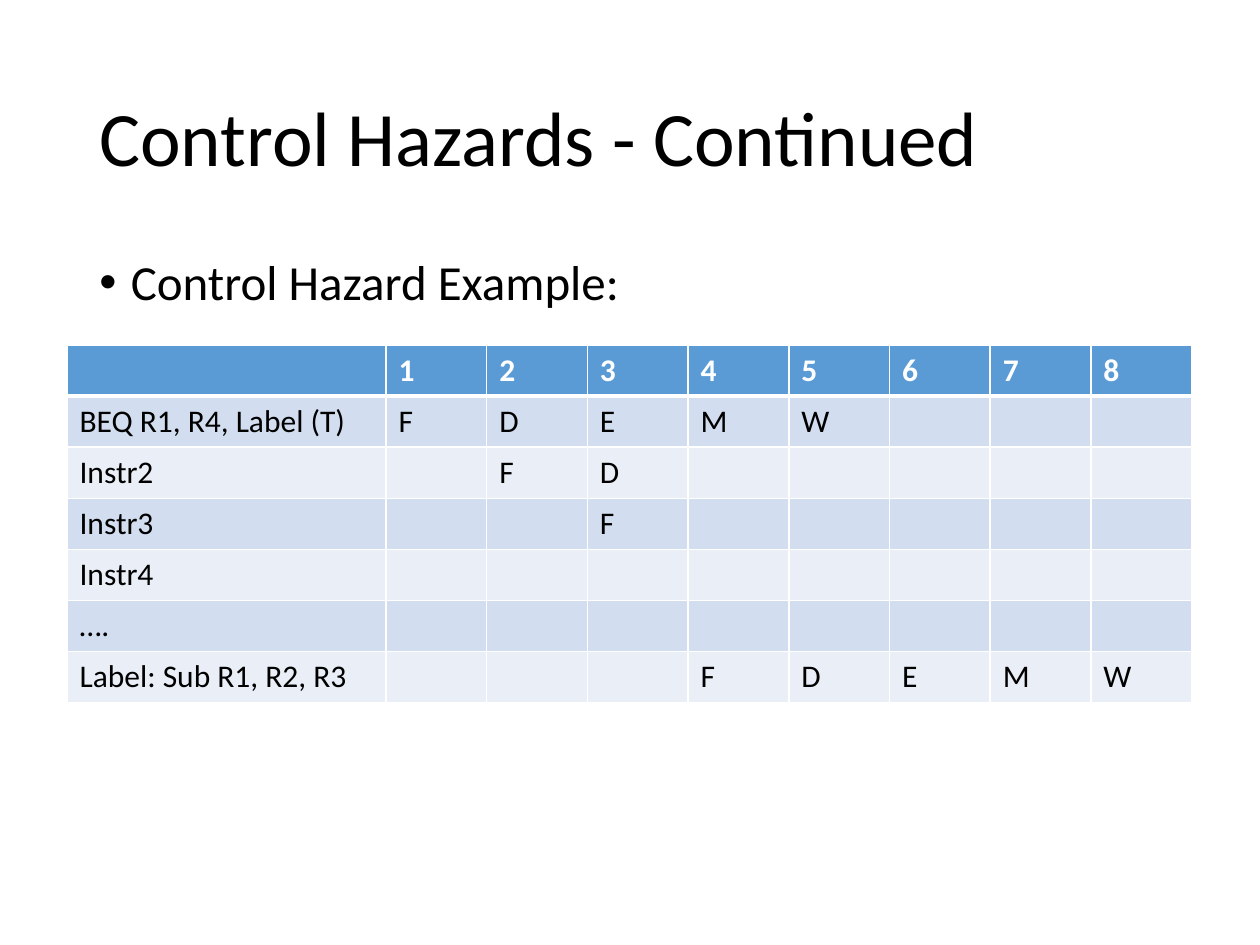
from lxml.etree import SubElement
from pptx import Presentation
from pptx.dml.color import RGBColor
from pptx.enum.text import MSO_ANCHOR as Anchor
from pptx.oxml.ns import qn
from pptx.util import Emu, Pt

PX = 914400 / 126
FONT = "Calibri"
BLACK, WHITE = "000000", "FFFFFF"
HEADER_FILL = "5B9BD5"
BAND_FILLS = ("D2DEEF", "EAEFF7")
CYCLES = 8
INSTRUCTIONS = [
    ("BEQ R1, R4, Label (T)", 1, "FDEMW"),
    ("Instr2", 2, "FD"),
    ("Instr3", 3, "F"),
    ("Instr4", 1, ""),
    ("….", 1, ""),
    ("Label: Sub R1, R2, R3", 4, "FDEMW"),
]


def px(length):
    """Turn pixels into EMU."""
    return Emu(round(length * PX))


def color(hex_code):
    """Turn a hex string into a colour."""
    return RGBColor.from_string(hex_code)


def style(paragraph, size, hex_code=BLACK, bold=False):
    """Format the font of every run in a paragraph."""
    for run in paragraph.runs:
        run.font.name = FONT
        run.font.size = Pt(size)
        run.font.bold = bold
        run.font.color.rgb = color(hex_code)


def add_text(slide, box, text, size, anchor):
    """Add a wrapped text box and return its paragraph."""
    frame = slide.shapes.add_textbox(*map(px, box)).text_frame
    frame.word_wrap = True
    frame.vertical_anchor = anchor
    frame.text = text
    paragraph = frame.paragraphs[0]
    paragraph.line_spacing = 0.9
    style(paragraph, size)
    return paragraph


def add_title(slide, box):
    """Add the slide title."""
    add_text(slide, box, "Control Hazards - Continued", 44, Anchor.MIDDLE)


def add_bullet(slide, box):
    """Add the bulleted line above the table."""
    example = add_text(slide, box, "Control Hazard Example:", 28, Anchor.TOP)
    example.space_before = Pt(10)
    properties = example._p.get_or_add_pPr()
    indent = Pt(18)
    properties.set("marL", str(indent))
    properties.set("indent", str(-indent))
    SubElement(properties, qn("a:buFont"), typeface="Arial")
    SubElement(properties, qn("a:buChar"), char="•")


def add_borders(cell, top, bottom):
    """Draw white borders around a cell."""
    properties = cell._tc.get_or_add_tcPr()
    widths = {"a:lnL": 1, "a:lnR": 1, "a:lnT": top, "a:lnB": bottom}
    for side, width in widths.items():
        line = SubElement(properties, qn(side), w=str(Pt(width)))
        fill = SubElement(line, qn("a:solidFill"))
        SubElement(fill, qn("a:srgbClr"), val=WHITE)


def pipeline_rows():
    """List the cell texts, each instruction shifted to its first cycle."""
    rows = [["", *map(str, range(1, CYCLES + 1))]]
    for instruction, start, stages in INSTRUCTIONS:
        timeline = " " * (start - 1) + stages
        rows.append([instruction, *map(str.strip, timeline.ljust(CYCLES))])
    return rows


def add_pipeline(slide, box, label_width):
    """Add the pipeline table of instructions against clock cycles."""
    rows = pipeline_rows()
    table = slide.shapes.add_table(len(rows), CYCLES + 1, *map(px, box)).table
    cycle_width = (box[2] - label_width) / CYCLES
    for index, column in enumerate(table.columns):
        column.width = px(cycle_width if index else label_width)
    for row, texts in enumerate(rows):
        header = row == 0
        fill = HEADER_FILL if header else BAND_FILLS[(row - 1) % 2]
        for index, text in enumerate(texts):
            cell = table.cell(row, index)
            add_borders(cell, 3 if row == 1 else 1, 3 if header else 1)
            cell.fill.solid()
            cell.fill.fore_color.rgb = color(fill)
            if text:
                cell.text_frame.text = text
                style(cell.text_frame.paragraphs[0], 18,
                      WHITE if header else BLACK, header)


def main():
    """Build and save the slide."""
    deck = Presentation()
    deck.slide_width, deck.slide_height = px(1260), px(945)
    slide = deck.slides.add_slide(deck.slide_layouts[6])
    add_title(slide, (87, 50, 1086, 183))
    add_bullet(slide, (87, 252, 1086, 76))
    add_pipeline(slide, (67, 345, 1125, 358), 319)
    deck.save("out.pptx")


if __name__ == "__main__":
    main()
